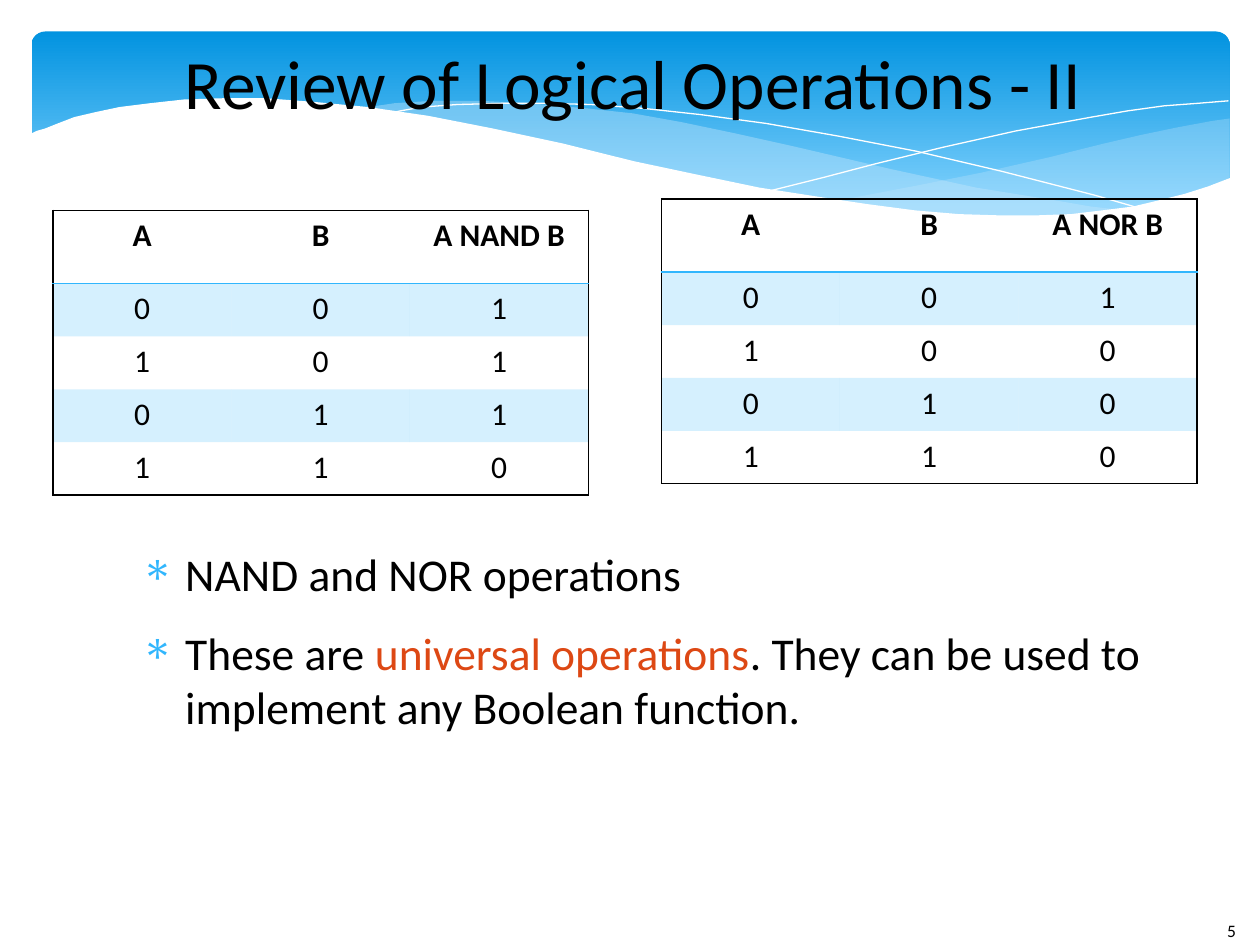
from lxml.etree import SubElement
from pptx import Presentation
from pptx.dml.color import RGBColor
from pptx.enum.shapes import MSO_SHAPE as Shape
from pptx.enum.text import MSO_ANCHOR as Anchor, PP_ALIGN as Align
from pptx.oxml.ns import qn
from pptx.util import Inches, Pt

BLACK = RGBColor(0x00, 0x00, 0x00)
WHITE = RGBColor(0xFF, 0xFF, 0xFF)
DEEP_BLUE = RGBColor(0x02, 0x93, 0xE0)
PALE_BLUE = RGBColor(0x83, 0xD3, 0xFE)
MIST = RGBColor(0xC6, 0xE7, 0xFC)
ACCENT = RGBColor(0x31, 0xB6, 0xFD)
ORANGE = RGBColor(0xDD, 0x48, 0x14)
NO_STYLE = "{2D5ABB26-0587-4C30-8999-92F81FD0307C}"

prs = Presentation()
prs.slide_width, prs.slide_height = Inches(10), Inches(7.5)
slide = prs.slides.add_slide(prs.slide_layouts[6])


def add_run(paragraph, text, size, color=BLACK, bold=False):
    run = paragraph.add_run()
    run.text = text
    run.font.name = "Calibri"
    run.font.size = Pt(size)
    run.font.bold = bold
    run.font.color.rgb = color


def set_alpha(fill_parent, percent):
    color = fill_parent.find(qn("a:solidFill"))[0]
    SubElement(color, qn("a:alpha"), val=str(percent * 1000))


banner = slide.shapes.add_shape(
    Shape.ROUNDED_RECTANGLE, Inches(0.25), Inches(0.25), Inches(9.51), Inches(1.56))
banner.shadow.inherit = False
banner.adjustments[0] = 0.07
banner.line.fill.background()
banner.fill.gradient()
banner.fill.gradient_angle = 270
for stop, color, position in zip(banner.fill.gradient_stops, (DEEP_BLUE, PALE_BLUE), (0, 0.9)):
    stop.color.rgb = color
    stop.position = position

right_swell = [
    (976, 94), (962, 96), (935, 101), (906, 107), (876, 114), (832, 125), (779, 137),
    (729, 147), (661, 160), (691, 164), (719, 167), (757, 170), (792, 172), (835, 172),
    (863, 170), (889, 166), (913, 162), (935, 156), (949, 152), (963, 147), (976, 141)]
middle_swell = [
    (893, 167), (866, 164), (837, 159), (775, 149), (706, 134), (629, 116), (584, 106),
    (541, 97), (502, 90), (465, 86), (420, 82), (380, 80), (344, 80), (313, 82), (286, 86),
    (323, 90), (362, 97), (404, 106), (449, 116), (530, 135), (584, 146), (634, 156),
    (680, 163), (722, 168), (761, 171), (796, 173), (828, 173), (857, 171), (876, 169)]
falling_crest = [
    (309, 90), (318, 88), (335, 85), (363, 83), (401, 82), (433, 82), (469, 83), (510, 86),
    (556, 91), (608, 98), (665, 108), (727, 120), (795, 136), (869, 155), (907, 166)]
rising_crest = [
    (613, 151), (653, 141), (695, 130), (748, 117), (806, 104), (866, 93), (895, 88),
    (924, 84), (951, 82), (975, 80)]
white_wave = [
    (977, 141), (959, 148), (940, 154), (920, 159), (899, 164), (875, 167), (850, 170),
    (823, 171), (793, 171), (761, 170), (726, 167), (688, 162), (648, 156), (603, 149),
    (555, 139), (503, 128), (447, 114), (391, 102), (340, 92), (292, 85), (250, 81),
    (211, 78), (177, 78), (146, 79), (119, 82), (95, 85), (76, 89), (59, 93), (46, 98),
    (36, 102), (29, 104), (23, 107), (23, 224), (977, 224)]

for points, color, alpha in (
        (right_swell, MIST, 29), (middle_swell, MIST, 40),
        (falling_crest, None, None), (rising_crest, None, None),
        (white_wave, WHITE, 100)):
    builder = slide.shapes.build_freeform(*points[0], scale=Inches(0.01))
    builder.add_line_segments(points[1:], close=color is not None)
    wave = builder.convert_to_shape()
    wave.shadow.inherit = False
    if color is None:
        wave.fill.background()
        wave.line.color.rgb = WHITE
        wave.line.width = Pt(0)
    else:
        wave.fill.solid()
        wave.fill.fore_color.rgb = color
        set_alpha(wave._element.spPr, alpha)
        wave.line.fill.background()

frames = []
for left, top, width, height in (
        (0.97, 0.14, 8.11, 1.02), (1, 4.33, 8.11, 2.02), (9.64, 7.25, 0.61, 0.4)):
    frame = slide.shapes.add_textbox(
        Inches(left), Inches(top), Inches(width), Inches(height)).text_frame
    frame.word_wrap = True
    frames.append(frame)
title, body, page_number = frames
for frame in (title, body):
    frame.margin_left = frame.margin_right = frame.margin_top = frame.margin_bottom = 0

title.vertical_anchor = Anchor.MIDDLE
title.paragraphs[0].alignment = Align.CENTER
add_run(title.paragraphs[0], "Review of Logical Operations - II", 39.6)
add_run(page_number.paragraphs[0], "5", 10)

points_made = [
    [("NAND and NOR operations", BLACK)],
    [("These are ", BLACK), ("universal operations", ORANGE),
     (". They can be used to implement any Boolean function.", BLACK)]]
for index, runs in enumerate(points_made):
    paragraph = body.add_paragraph() if index else body.paragraphs[0]
    paragraph.space_after = Pt(14.1)
    props = paragraph._p.get_or_add_pPr()
    props.set("marL", str(Inches(0.47)))
    props.set("indent", str(Inches(-0.35)))
    bullet_color = SubElement(props, qn("a:buClr"))
    SubElement(bullet_color, qn("a:srgbClr"), val=str(ACCENT))
    SubElement(props, qn("a:buChar"), char="∗")
    for text, color in runs:
        add_run(paragraph, text, 26, color)

inputs = [("0", "0"), ("1", "0"), ("0", "1"), ("1", "1")]
for left, top, operation, outputs in (
        (5.25, 1.58, "A NOR B", "1000"), (0.42, 1.67, "A NAND B", "1110")):
    rows = [("A", "B", operation)] + [(a, b, out) for (a, b), out in zip(inputs, outputs)]
    truth_table = slide.shapes.add_table(
        5, 3, Inches(left), Inches(top), Inches(4.25), Inches(2.25)).table
    truth_table.first_row = truth_table.horz_banding = False
    truth_table._tbl.tblPr.find(qn("a:tableStyleId")).text = NO_STYLE
    for column in truth_table.columns:
        column.width = Inches(4.25 / 3)
    for r, values in enumerate(rows):
        truth_table.rows[r].height = Inches(0.42 if r else 0.58)
        for c, value in enumerate(values):
            cell = truth_table.cell(r, c)
            paragraph = cell.text_frame.paragraphs[0]
            paragraph.alignment = Align.CENTER
            add_run(paragraph, value, 18, bold=r == 0)
            cell_props = cell._tc.get_or_add_tcPr()
            borders = [("a:lnL", BLACK, c == 0), ("a:lnR", BLACK, c == 2),
                       ("a:lnT", BLACK, r == 0),
                       ("a:lnB", BLACK if r else ACCENT, r in (0, 4))]
            for tag, color, shown in borders:
                if shown:
                    border = SubElement(cell_props, qn(tag), w=str(Pt(1)))
                    stroke = SubElement(border, qn("a:solidFill"))
                    SubElement(stroke, qn("a:srgbClr"), val=str(color))
            if r % 2:
                cell.fill.solid()
                cell.fill.fore_color.rgb = ACCENT
                set_alpha(cell_props, 20)
            else:
                cell.fill.background()

prs.save("out.pptx")
